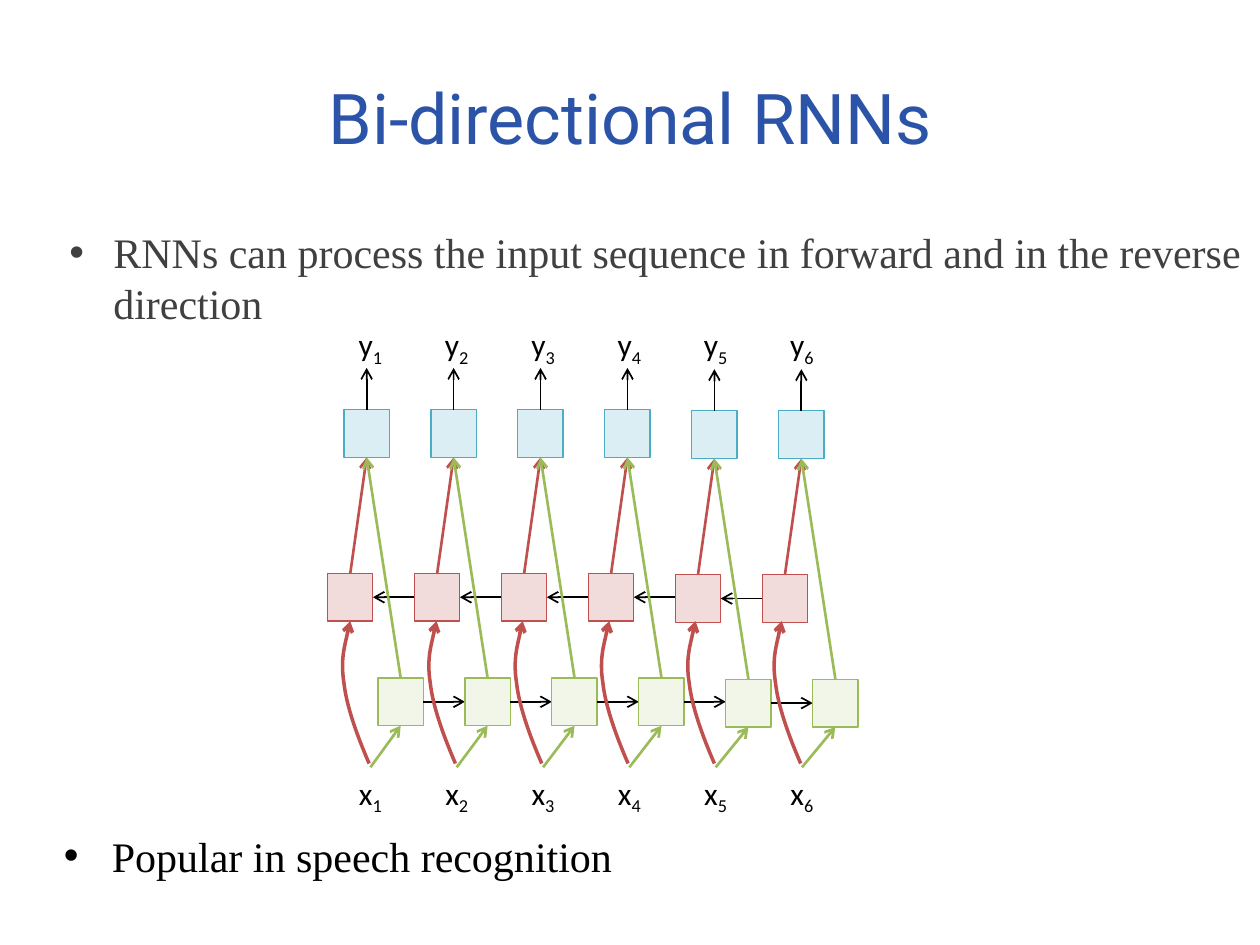
from dataclasses import dataclass

from lxml.etree import SubElement
from pptx import Presentation
from pptx.dml.color import RGBColor
from pptx.enum.shapes import MSO_CONNECTOR, MSO_SHAPE
from pptx.enum.text import MSO_ANCHOR, PP_ALIGN
from pptx.oxml.ns import qn
from pptx.util import Inches, Pt


@dataclass(frozen=True)
class Theme:
    title: str = "2B53A8"
    body: str = "404040"
    black: str = "000000"
    forward: str = "9BBB59"
    forward_fill: str = "D7E4BD"
    backward: str = "C0504D"
    backward_fill: str = "D99694"
    output: str = "4BACC6"
    output_fill: str = "93CDDD"
    title_font: str = "Roboto"
    body_font: str = "Times New Roman"
    label_font: str = "Calibri"
    title_size: int = 40
    body_size: int = 24
    label_size: int = 18


THEME = Theme()
STEPS = 6
PITCH = 0.69
LABEL_PITCH = 0.685
CELL_WIDTH, CELL_HEIGHT = 0.36, 0.38


def add_run(paragraph, text, font_name, size, color):
    run = paragraph.add_run()
    run.text = text
    run.font.name = font_name
    run.font.size = Pt(size)
    run.font.color.rgb = RGBColor.from_string(color)
    return run


def add_text_frame(slide, box, inset=0.1):
    shape = slide.shapes.add_textbox(*(Inches(value) for value in box))
    frame = shape.text_frame
    frame.word_wrap = True
    frame.margin_left = frame.margin_right = Inches(inset)
    frame.margin_top = frame.margin_bottom = Inches(0.05)
    return frame


def add_title(slide, box, text):
    frame = add_text_frame(slide, box, inset=0.05)
    frame.vertical_anchor = MSO_ANCHOR.MIDDLE
    paragraph = frame.paragraphs[0]
    paragraph.alignment = PP_ALIGN.CENTER
    add_run(paragraph, text, THEME.title_font, THEME.title_size, THEME.title)


def add_bullet(slide, box, text, color, indent, inset):
    paragraph = add_text_frame(slide, box, inset).paragraphs[0]
    properties = paragraph._p.get_or_add_pPr()
    properties.set("marL", str(Inches(indent)))
    properties.set("indent", str(-Inches(indent)))
    SubElement(properties, qn("a:buFont"), typeface="Arial")
    SubElement(properties, qn("a:buChar"), char="•")
    add_run(paragraph, text, THEME.body_font, THEME.body_size, color)


def add_label(slide, left, top, letter, index):
    """Place a letter with a subscript number."""
    frame = add_text_frame(slide, (left, top, 0.44, 0.4))
    frame.word_wrap = False
    paragraph = frame.paragraphs[0]
    paragraph.alignment = PP_ALIGN.CENTER
    style = (THEME.label_font, THEME.label_size, THEME.black)
    add_run(paragraph, letter, *style)
    subscript = add_run(paragraph, str(index), *style)
    subscript._r.get_or_add_rPr().set("baseline", "-25000")


def add_cell(slide, left, top, fill, line):
    position = (left, top, CELL_WIDTH, CELL_HEIGHT)
    cell = slide.shapes.add_shape(
        MSO_SHAPE.RECTANGLE, *(Inches(value) for value in position))
    cell.shadow.inherit = False
    cell.fill.solid()
    cell.fill.fore_color.rgb = RGBColor.from_string(fill)
    color = cell.fill._xPr.find(qn("a:solidFill"))[0]
    SubElement(color, qn("a:alpha"), val="33000")
    cell.line.color.rgb = RGBColor.from_string(line)
    cell.line.width = Pt(0.75)


def style_arrow(shape, color, width):
    """Colour a line and give its end an open arrowhead."""
    shape.line.color.rgb = RGBColor.from_string(color)
    shape.line.width = Pt(width)
    SubElement(shape.line._get_or_add_ln(), qn("a:tailEnd"), type="arrow")


def add_arrow(slide, start, end, color, width=1.5):
    arrow = slide.shapes.add_connector(
        MSO_CONNECTOR.STRAIGHT, *(Inches(value) for value in (*start, *end)))
    style_arrow(arrow, color, width)
    SubElement(arrow._element.spPr, qn("a:effectLst"))


def add_curved_arrow(slide, left, top):
    """Bend an arrow from an input up to its backward cell."""
    start = (0.2, 1.13)
    curves = (((0.1, 0.9), (0.02, 0.67), (0, 0.49)),
              ((-0.03, 0.3), (0.05, 0), (0.05, 0)))
    anchors = [(Inches(left + x), Inches(top + y))
               for x, y in (start, *(curve[-1] for curve in curves))]
    builder = slide.shapes.build_freeform(*anchors[0])
    builder.add_line_segments(anchors[1:], close=False)
    shape = builder.convert_to_shape()
    outline = next(shape._element.iter(qn("a:path")))
    for line in outline.findall(qn("a:lnTo")):
        outline.remove(line)
    for curve in curves:
        segment = SubElement(outline, qn("a:cubicBezTo"))
        for x, y in curve:
            SubElement(segment, qn("a:pt"), x=str(Inches(x)), y=str(Inches(y)))
    shape.shadow.inherit = False
    shape.fill.background()
    style_arrow(shape, THEME.backward, 2)


def add_network(slide, left, top):
    """Unroll the network: outputs on top, backward row, forward row, inputs."""
    middle = CELL_WIDTH / 2
    gap = PITCH - CELL_WIDTH
    for step in range(STEPS):
        drop = 0.01 if step >= 4 else 0
        backward_x = left + step * PITCH
        output_x, forward_x = backward_x + 0.13, backward_x + 0.4
        output_y, backward_y, forward_y = (
            top + offset + drop for offset in (0.72, 2.02, 2.85))
        label_x = left + 0.12 + step * LABEL_PITCH
        input_y = top + 3.56
        output_bottom = (output_x + middle, output_y + CELL_HEIGHT)

        add_cell(slide, forward_x, forward_y, THEME.forward_fill, THEME.forward)
        add_cell(slide, output_x, output_y, THEME.output_fill, THEME.output)
        add_cell(slide, backward_x, backward_y, THEME.backward_fill, THEME.backward)
        add_label(slide, label_x, input_y, "x", step + 1)
        add_label(slide, label_x, top, "y", step + 1)

        add_arrow(slide, (label_x + 0.22, input_y),
                  (forward_x + middle, forward_y + CELL_HEIGHT), THEME.forward)
        add_arrow(slide, (output_x + middle, output_y),
                  (output_x + middle, output_y - 0.33), THEME.black, 1)
        if step < STEPS - 1:
            forward_end = forward_x + CELL_WIDTH
            backward_end = backward_x + CELL_WIDTH
            forward_middle = forward_y + CELL_HEIGHT / 2
            backward_middle = backward_y + CELL_HEIGHT / 2
            add_arrow(slide, (forward_end, forward_middle),
                      (forward_end + gap, forward_middle), THEME.black, 1)
            add_arrow(slide, (backward_end + gap, backward_middle),
                      (backward_end, backward_middle), THEME.black, 1)
        add_arrow(slide, (backward_x + middle, backward_y),
                  output_bottom, THEME.backward)
        add_curved_arrow(slide, label_x + 0.01, top + 2.4)
        add_arrow(slide, (forward_x + middle, forward_y),
                  output_bottom, THEME.forward)


def main():
    presentation = Presentation()
    presentation.slide_width = Inches(10)
    presentation.slide_height = Inches(7.5)
    slide = presentation.slides.add_slide(presentation.slide_layouts[6])
    add_title(slide, (0.5, 0.1, 9, 1.65), "Bi-directional RNNs")
    add_bullet(
        slide, (0.5, 1.75, 9.5, 1.15),
        "RNNs can process the input sequence in forward and in the reverse direction",
        THEME.body, indent=0.35, inset=0.05)
    add_network(slide, left=2.6, top=2.53)
    add_bullet(slide, (0.41, 6.54, 9.5, 0.75), "Popular in speech recognition",
               THEME.black, indent=0.38, inset=0.1)
    presentation.save("out.pptx")


if __name__ == "__main__":
    main()
